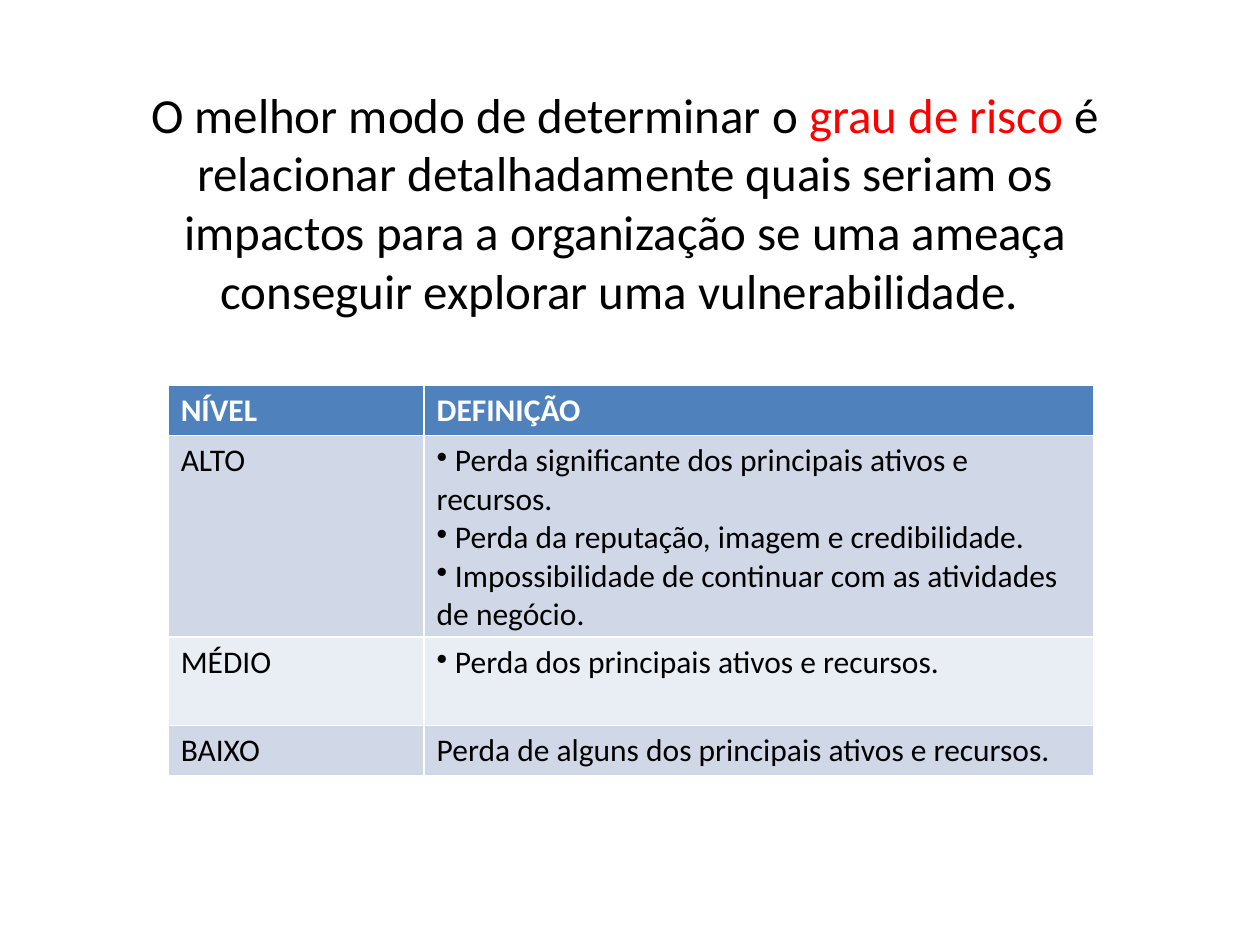
from lxml import etree
from pptx import Presentation
from pptx.dml.color import RGBColor
from pptx.enum import text
from pptx.oxml.ns import qn
from pptx.util import Cm, Pt

FONT = "Calibri"
BLACK, WHITE, RED = "000000", "FFFFFF", "FF0000"
HEADER_FILL = "4F81BD"
BAND_FILLS = ["D0D8E8", "E9EDF4"]
BULLET = "•"

STATEMENT = [
    ("O melhor modo de determinar o ", BLACK),
    ("grau de risco ", RED),
    ("é relacionar detalhadamente quais seriam os impactos para a organização "
     "se uma ameaça conseguir explorar uma vulnerabilidade. ", BLACK),
]
COLUMN_WIDTHS = [5.16, 13.49]
# Row height in cm, level, definition lines
RISK_LEVELS = [
    (1.02, "NÍVEL", ["DEFINIÇÃO"]),
    (4.06, "ALTO", [
        "• Perda significante dos principais ativos e recursos.",
        "• Perda da reputação, imagem e credibilidade.",
        "• Impossibilidade de continuar com as atividades de negócio.",
    ]),
    (1.78, "MÉDIO", ["• Perda dos principais ativos e recursos."]),
    (1.02, "BAIXO", ["Perda de alguns dos principais ativos e recursos."]),
]


def color(value):
    return RGBColor.from_string(value)


def set_font(font, size, bold=False):
    font.name = FONT
    font.size = Pt(size)
    font.bold = bold


def add_bullet(paragraph):
    properties = paragraph._p.get_or_add_pPr()
    bullet = etree.Element(qn("a:buChar"), char=BULLET)
    properties.insert_element_before(
        bullet, "a:tabLst", "a:defRPr", "a:extLst")


def add_statement(slide):
    box = slide.shapes.add_textbox(Cm(2.18), Cm(1.57), Cm(20.83), Cm(5.05))
    box.text_frame.word_wrap = True
    paragraph = box.text_frame.paragraphs[0]
    paragraph.alignment = text.PP_ALIGN.CENTER
    set_font(paragraph.font, 28)
    for words, run_color in STATEMENT:
        run = paragraph.add_run()
        run.text = words
        run.font.color.rgb = color(run_color)


def fill_cell(cell, lines, fill, font_color, bold):
    """Write the lines as paragraphs; a leading bullet sign becomes a bullet."""
    cell.fill.solid()
    cell.fill.fore_color.rgb = color(fill)
    cell.text = "\n".join(line.removeprefix(BULLET) for line in lines)
    for paragraph, line in zip(cell.text_frame.paragraphs, lines):
        set_font(paragraph.font, 18, bold)
        paragraph.font.color.rgb = color(font_color)
        if line.startswith(BULLET):
            add_bullet(paragraph)


def add_risk_table(slide):
    height = sum(row[0] for row in RISK_LEVELS)
    table = slide.shapes.add_table(
        len(RISK_LEVELS), len(COLUMN_WIDTHS),
        Cm(3.39), Cm(7.76), Cm(sum(COLUMN_WIDTHS)), Cm(height)).table
    for column, width in zip(table.columns, COLUMN_WIDTHS):
        column.width = Cm(width)
    for index, (row_height, level, definition) in enumerate(RISK_LEVELS):
        row = table.rows[index]
        row.height = Cm(row_height)
        header = index == 0
        fill = HEADER_FILL if header else BAND_FILLS[(index - 1) % 2]
        for cell, lines in zip(row.cells, ([level], definition)):
            fill_cell(cell, lines, fill, WHITE if header else BLACK, header)


def main():
    presentation = Presentation()
    presentation.slide_width = Cm(25.4)
    presentation.slide_height = Cm(19.05)
    slide = presentation.slides.add_slide(presentation.slide_layouts[6])
    add_statement(slide)
    add_risk_table(slide)
    presentation.save("out.pptx")


if __name__ == "__main__":
    main()
